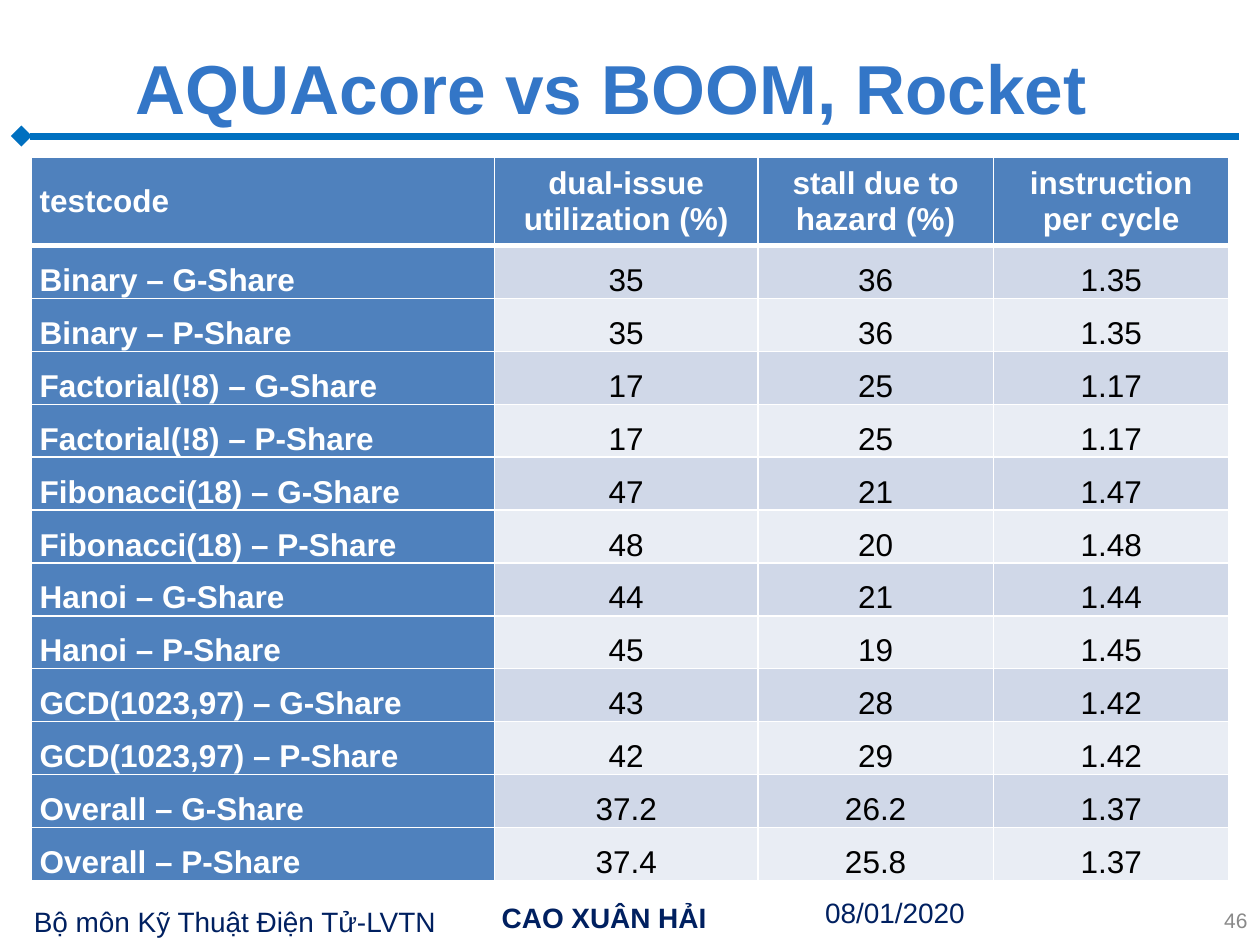
import dataclasses

import lxml.etree
import pptx
import pptx.dml.color
import pptx.enum.shapes
import pptx.enum.text
import pptx.oxml.ns
import pptx.util

RGB = pptx.dml.color.RGBColor
Align = pptx.enum.text.PP_ALIGN
Anchor = pptx.enum.text.MSO_ANCHOR
qn = pptx.oxml.ns.qn

WHITE = RGB(0xFF, 0xFF, 0xFF)
BLACK = RGB(0x00, 0x00, 0x00)
NAVY = RGB(0x00, 0x20, 0x60)
GRAY = RGB(0x89, 0x89, 0x89)
SKY = RGB(0x33, 0x76, 0xC7)
RULE = RGB(0x00, 0x70, 0xC0)
HEAD = RGB(0x4F, 0x81, 0xBD)
BANDS = (RGB(0xD0, 0xD8, 0xE8), RGB(0xE9, 0xED, 0xF4))

FONT = "Arial"
COLS, ROWS = 100, 75  # slide grid
UNIT = pptx.util.Inches(10) // COLS
WIDTHS = (36.8, 20.9, 18.7, 18.7)
HEAD_ROW, BODY_ROW = 7, 4.2

HEADS = ("testcode", "dual-issue utilization (%)",
         "stall due to hazard (%)", "instruction per cycle")
TESTS = (
    ("Binary – G-Share", "35", "36", "1.35"),
    ("Binary – P-Share", "35", "36", "1.35"),
    ("Factorial(!8) – G-Share", "17", "25", "1.17"),
    ("Factorial(!8) – P-Share", "17", "25", "1.17"),
    ("Fibonacci(18) – G-Share", "47", "21", "1.47"),
    ("Fibonacci(18) – P-Share", "48", "20", "1.48"),
    ("Hanoi – G-Share", "44", "21", "1.44"),
    ("Hanoi – P-Share", "45", "19", "1.45"),
    ("GCD(1023,97) – G-Share", "43", "28", "1.42"),
    ("GCD(1023,97) – P-Share", "42", "29", "1.42"),
    ("Overall – G-Share", "37.2", "26.2", "1.37"),
    ("Overall – P-Share", "37.4", "25.8", "1.37"),
)


@dataclasses.dataclass
class Label:
    """A text box, placed in grid columns and rows."""
    text: str
    left: float
    top: float
    width: float
    height: float
    size: float = 16
    color: RGB = NAVY
    bold: bool = False
    align: Align = Align.LEFT
    anchor: Anchor = Anchor.TOP


LABELS = (
    Label("CAO XUÂN HẢI", 37.8, 71, 20.3, 3.7, bold=True, align=Align.CENTER),
    Label("Bộ môn Kỹ Thuật Điện Tử-LVTN", 1.7, 71.3, 34.2, 3.7),
    Label("08/01/2020", 64.5, 70.6, 30, 3.7),
    Label("AQUAcore vs BOOM, Rocket", 9.8, 3.2, 81.1, 7.4, 39.6, SKY,
          True, anchor=Anchor.MIDDLE),
    Label("46", 76.7, 71, 23.3, 4, 12, GRAY,
          align=Align.RIGHT, anchor=Anchor.MIDDLE),
)


def grid(*units: float) -> list[int]:
    return [round(unit * UNIT) for unit in units]


def write(frame, text: str, size: float, color: RGB, bold: bool, align: Align):
    para = frame.paragraphs[0]
    para.alignment = align
    run = para.add_run()
    run.text = text
    run.font.name = FONT
    run.font.size = pptx.util.Pt(size)
    run.font.bold = bold
    run.font.color.rgb = color
    return para


def add_label(slide, label: Label) -> None:
    box = slide.shapes.add_textbox(
        *grid(label.left, label.top, label.width, label.height))
    frame = box.text_frame
    frame.word_wrap = True
    frame.vertical_anchor = label.anchor
    write(frame, label.text, label.size, label.color, label.bold, label.align)


def add_rule(slide) -> None:
    """Draw the line below the title, with a diamond at its left end."""
    line = slide.shapes.add_connector(
        pptx.enum.shapes.MSO_CONNECTOR.STRAIGHT, *grid(1.7, 10.8, 98.3, 10.8))
    line.line.color.rgb = RULE
    line.line.width = pptx.util.Pt(4)
    lxml.etree.SubElement(line.line._get_or_add_ln(), qn("a:headEnd"),
                          type="diamond")
    lxml.etree.SubElement(line._element.spPr, qn("a:effectLst"))


def add_edges(cell, row: int) -> None:
    """Give a cell white borders, thick between the head and the body."""
    props = cell._tc.get_or_add_tcPr()
    for side in "LRTB":
        thick = (row, side) in ((0, "B"), (1, "T"))
        width = pptx.util.Pt(3 if thick else 1)
        edge = lxml.etree.SubElement(props, qn("a:ln" + side), w=str(width))
        fill = lxml.etree.SubElement(edge, qn("a:solidFill"))
        lxml.etree.SubElement(fill, qn("a:srgbClr"), val=str(WHITE))


def fill_cell(cell, text: str, row: int, col: int) -> None:
    label = row == 0 or col == 0
    add_edges(cell, row)
    cell.fill.solid()
    cell.fill.fore_color.rgb = HEAD if label else BANDS[(row - 1) % 2]
    cell.vertical_anchor = Anchor.MIDDLE
    cell.margin_left = cell.margin_right = pptx.util.Inches(0.07)
    cell.margin_top = cell.margin_bottom = 0
    para = write(cell.text_frame, text, 18, WHITE if label else BLACK, label,
                 Align.CENTER if col else Align.JUSTIFY)
    if row:
        para.line_spacing = pptx.util.Pt(30)


def add_tests(slide) -> None:
    data = (HEADS, *TESTS)
    height = HEAD_ROW + BODY_ROW * len(TESTS)
    table = slide.shapes.add_table(
        len(data), len(HEADS), *grid(2.45, 12.5, sum(WIDTHS), height)).table
    table.first_col = True
    for col, width in zip(table.columns, grid(*WIDTHS)):
        col.width = width
    for row, texts in enumerate(data):
        table.rows[row].height = grid(BODY_ROW if row else HEAD_ROW)[0]
        for col, text in enumerate(texts):
            fill_cell(table.cell(row, col), text, row, col)


def main() -> None:
    deck = pptx.Presentation()
    deck.slide_width, deck.slide_height = grid(COLS, ROWS)
    slide = deck.slides.add_slide(deck.slide_layouts[6])
    add_rule(slide)
    for label in LABELS:
        add_label(slide, label)
    add_tests(slide)
    deck.save("out.pptx")


if __name__ == "__main__":
    main()
